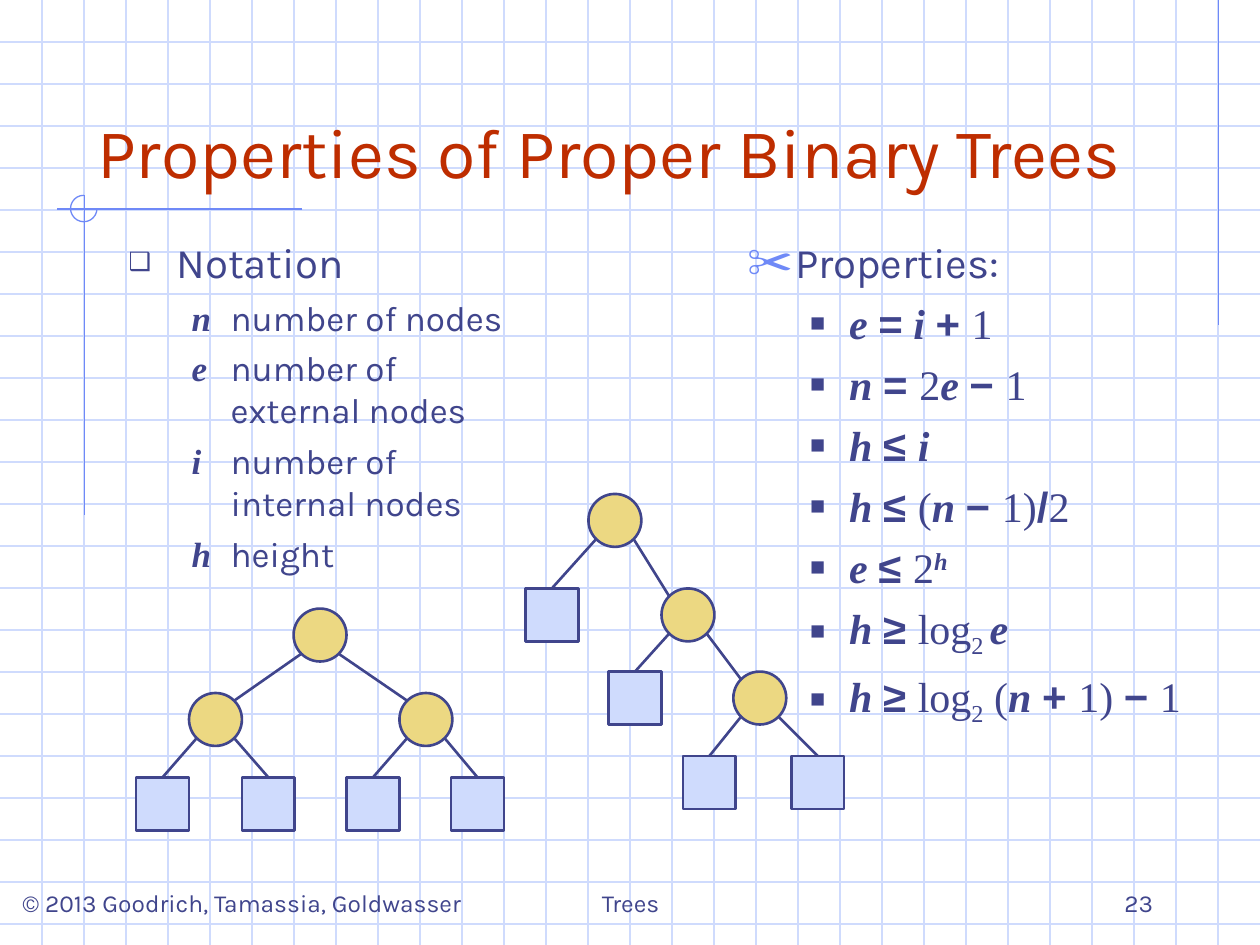
"""Build a slide on the properties of proper binary trees."""
from dataclasses import dataclass
from typing import NamedTuple, Optional

from pptx import Presentation
from pptx.dml.color import RGBColor
from pptx.enum.shapes import MSO_CONNECTOR, MSO_SHAPE
from pptx.enum.text import MSO_ANCHOR, MSO_AUTO_SIZE, PP_ALIGN
from pptx.oxml.ns import qn
from pptx.shapes.autoshape import Shape
from pptx.slide import Slide
from pptx.text.text import TextFrame
from pptx.util import Inches, Pt
from lxml import etree

STRAIGHT = MSO_CONNECTOR.STRAIGHT
CIRCLE, SQUARE, ARC = MSO_SHAPE.OVAL, MSO_SHAPE.RECTANGLE, MSO_SHAPE.ARC
TOP, BOTTOM = MSO_ANCHOR.TOP, MSO_ANCHOR.BOTTOM
LEFT, CENTER, RIGHT = PP_ALIGN.LEFT, PP_ALIGN.CENTER, PP_ALIGN.RIGHT
NO_AUTOFIT = MSO_AUTO_SIZE.NONE


@dataclass(frozen=True)
class Theme:
    ink: str = "40458C"
    title: str = "BE2D00"
    grid: str = "CFDBFD"
    accent: str = "6F89F7"
    internal: str = "ECD882"
    external: str = "CFDBFD"
    sans: str = "Karla"
    serif: str = "Times New Roman"
    symbol: str = "Arial"
    title_size: int = 40
    heading_size: int = 24
    notation_size: int = 20
    footer_size: int = 14
    thin: float = 0.75
    thick: float = 1.5


THEME = Theme()
NODE_SIZE = 0.42
CORNER = 0.15
GRID_STEPS_PER_INCH = 3


class Style(NamedTuple):
    font: str
    bold: bool = False
    italic: bool = False
    baseline: int = 0


PLAIN = Style(THEME.sans)
VARIABLE = Style(THEME.serif, bold=True, italic=True)
OPERATOR = Style(THEME.symbol, bold=True)
NUMBER = Style(THEME.serif)
EXPONENT = VARIABLE._replace(baseline=30000)
SUBSCRIPT = NUMBER._replace(baseline=-25000)


class Bullet(NamedTuple):
    character: str
    color: str
    percent: int


class Box(NamedTuple):
    left: float
    top: float
    width: float
    height: float


@dataclass(frozen=True)
class Line:
    runs: list[tuple[str, Style]]
    size: int
    space_before: int
    margin: float
    hanging: float
    level: int = 0
    bullet: Optional[Bullet] = None


@dataclass(frozen=True)
class Node:
    x: float
    y: float
    children: tuple["Node", ...] = ()


NOTATION = [("n", "number of nodes"), ("e", "number of external nodes"),
            ("i", "number of internal nodes"), ("h", "height")]

PROPERTIES = [
    [("e ", VARIABLE), ("=", OPERATOR), (" i ", VARIABLE), ("+ ", OPERATOR), ("1", NUMBER)],
    [("n ", VARIABLE), ("= ", OPERATOR), ("2", NUMBER), ("e ", VARIABLE), ("− ", OPERATOR),
     ("1", NUMBER)],
    [("h ", VARIABLE), ("≤ ", OPERATOR), ("i", VARIABLE)],
    [("h ", VARIABLE), ("≤ ", OPERATOR), ("(", NUMBER), ("n ", VARIABLE), ("− ", OPERATOR),
     ("1)", NUMBER), ("/", OPERATOR), ("2", NUMBER)],
    [("e ", VARIABLE), ("≤ ", OPERATOR), ("2", NUMBER), ("h", EXPONENT)],
    [("h ", VARIABLE), ("≥ ", OPERATOR), ("log", NUMBER), ("2 ", SUBSCRIPT), ("e", VARIABLE)],
    [("h ", VARIABLE), ("≥ ", OPERATOR), ("log", NUMBER), ("2", SUBSCRIPT), (" (", NUMBER),
     ("n ", VARIABLE), ("+ ", OPERATOR), ("1) ", NUMBER), ("− ", OPERATOR), ("1", NUMBER)],
]

BALANCED_TREE = Node(2.54, 5.04, (
    Node(1.71, 5.71, (Node(1.29, 6.38), Node(2.13, 6.38))),
    Node(3.38, 5.71, (Node(2.96, 6.38), Node(3.79, 6.38)))))
SKEWED_TREE = Node(4.88, 4.13, (
    Node(4.38, 4.88),
    Node(5.46, 4.88, (
        Node(5.04, 5.54),
        Node(6.03, 5.54, (Node(5.63, 6.21), Node(6.49, 6.21)))))))

FOOTERS = [(Box(0.08, 6.83, 3.92, 0.5), "© 2013 Goodrich, Tamassia, Goldwasser", LEFT),
           (Box(3.42, 6.83, 3.17, 0.5), "Trees", CENTER),
           (Box(7.17, 6.83, 2.08, 0.5), "23", RIGHT)]


def add_line(slide: Slide, start: tuple[float, float], end: tuple[float, float],
             color: str, width: float, target: Optional[Shape] = None) -> None:
    """Draw a straight line, joined to the top of the target if there is one."""
    line = slide.shapes.add_connector(STRAIGHT, *map(Inches, start + end))
    if target is not None:
        line.end_connect(target, 0)
    line.line.color.rgb = RGBColor.from_string(color)
    line.line.width = Pt(width)
    etree.SubElement(line.element.spPr, qn("a:effectLst"))


def add_run(paragraph, text: str, style: Style, size: int, color: str) -> None:
    """Append one formatted run."""
    run = paragraph.add_run()
    run.text = text
    font = run.font
    font.name, font.size = style.font, Pt(size)
    font.bold, font.italic = style.bold, style.italic
    font.color.rgb = RGBColor.from_string(color)
    if style.baseline:
        run._r.get_or_add_rPr().set("baseline", str(style.baseline))


def set_bullet(properties, bullet: Optional[Bullet]) -> None:
    """Give paragraph properties a bullet or switch it off."""
    if bullet is None:
        etree.SubElement(properties, qn("a:buNone"))
        return
    color = etree.SubElement(properties, qn("a:buClr"))
    etree.SubElement(color, qn("a:srgbClr"), val=bullet.color)
    etree.SubElement(properties, qn("a:buSzPct"), val=str(bullet.percent * 1000))
    etree.SubElement(properties, qn("a:buChar"), char=bullet.character)


def prepare_frame(shape: Shape, anchor: MSO_ANCHOR) -> TextFrame:
    """Set wrapping and anchoring of a text frame."""
    frame = shape.text_frame
    frame.word_wrap, frame.auto_size, frame.vertical_anchor = True, NO_AUTOFIT, anchor
    return frame


def place(shape: Shape, box: Box) -> None:
    """Move a placeholder to its box, in front of what is drawn so far."""
    shape.left, shape.top, shape.width, shape.height = map(Inches, box)
    shape.element.getparent().append(shape.element)


def fill_list(shape: Shape, box: Box, lines: list[Line]) -> None:
    """Write the lines of a list into a placeholder."""
    place(shape, box)
    frame = prepare_frame(shape, TOP)
    for index, line in enumerate(lines):
        paragraph = frame.add_paragraph() if index else frame.paragraphs[0]
        paragraph.level = line.level
        paragraph.alignment = LEFT
        paragraph.space_before = Pt(line.space_before)
        properties = paragraph._p.get_or_add_pPr()
        properties.set("marL", str(Inches(line.margin)))
        properties.set("indent", str(Inches(-line.hanging)))
        set_bullet(properties, line.bullet)
        for text, style in line.runs:
            add_run(paragraph, text, style, line.size, THEME.ink)


def fill_single(shape: Shape, text: str, size: int, color: str, alignment: PP_ALIGN) -> None:
    """Write one bottom-anchored line of text."""
    paragraph = prepare_frame(shape, BOTTOM).paragraphs[0]
    paragraph.alignment = alignment
    add_run(paragraph, text, PLAIN, size, color)


def add_backdrop(slide: Slide) -> None:
    """Draw the squared paper and the corner ornament."""
    for step in range(1, 23):
        y = step / GRID_STEPS_PER_INCH
        add_line(slide, (0, y), (10, y), THEME.grid, THEME.thin)
    for step in range(1, 30):
        x = step / GRID_STEPS_PER_INCH
        add_line(slide, (x, 0), (x, 7.5), THEME.grid, THEME.thin)
    for start, end in [((9.67, 0), (9.67, 2.58)), ((2.4, 1.66), (0.45, 1.66)),
                       ((0.67, 1.55), (0.67, 4.09))]:
        add_line(slide, start, end, THEME.accent, THEME.thin)
    arc = slide.shapes.add_shape(ARC, *map(Inches, Box(0.56, 1.55, 0.21, 0.21)))
    arc.adjustments[0], arc.adjustments[1] = 0, 162
    arc.shadow.inherit = False
    arc.fill.background()
    arc.line.color.rgb = RGBColor.from_string(THEME.accent)
    arc.line.width = Pt(THEME.thin)


def add_tree(slide: Slide, node: Node) -> Shape:
    """Draw a node, its subtrees and the edges to them."""
    kind, color = (CIRCLE, THEME.internal) if node.children else (SQUARE, THEME.external)
    box = Box(node.x - NODE_SIZE / 2, node.y - NODE_SIZE / 2, NODE_SIZE, NODE_SIZE)
    shape = slide.shapes.add_shape(kind, *map(Inches, box))
    shape.shadow.inherit = False
    shape.fill.solid()
    shape.fill.fore_color.rgb = RGBColor.from_string(color)
    shape.line.color.rgb = RGBColor.from_string(THEME.ink)
    shape.line.width = Pt(THEME.thick)
    for child in node.children:
        child_shape = add_tree(slide, child)
        side = CORNER if child.x > node.x else -CORNER
        add_line(slide, (node.x + side, node.y + CORNER), (child.x - side, child.y - CORNER),
                 THEME.ink, THEME.thick, None if child.children else child_shape)
    return shape


def main() -> None:
    """Build and save the slide."""
    presentation = Presentation()
    presentation.slide_width, presentation.slide_height = Inches(10), Inches(7.5)
    slide = presentation.slides.add_slide(presentation.slide_layouts[3])
    title, notation, properties = slide.placeholders
    add_backdrop(slide)
    place(title, Box(0.67, 0.33, 8.5, 1.25))
    fill_single(title, "Properties of Proper Binary Trees", THEME.title_size, THEME.title, LEFT)
    size = THEME.heading_size
    fill_list(notation, Box(0.92, 1.83, 3.33, 2.83), [
        Line([("Notation", PLAIN)], size, 6, 0.38, 0.38, bullet=Bullet("❑", THEME.ink, 60)),
        *(Line([(f"{symbol}\t", VARIABLE), (meaning, PLAIN)], THEME.notation_size, 5,
               0.81, 0.31, level=1) for symbol, meaning in NOTATION)])
    fill_list(properties, Box(5.83, 1.83, 3.75, 4), [
        Line([("Properties:", PLAIN)], size, 6, 0.38, 0.38,
             bullet=Bullet("✂", THEME.accent, 110)),
        *(Line(runs, size, 6, 0.81, 0.31, level=1, bullet=Bullet("■", THEME.ink, 60))
          for runs in PROPERTIES)])
    for tree in (BALANCED_TREE, SKEWED_TREE):
        add_tree(slide, tree)
    for box, text, alignment in FOOTERS:
        footer = slide.shapes.add_textbox(*map(Inches, box))
        fill_single(footer, text, THEME.footer_size, THEME.ink, alignment)
    presentation.save("out.pptx")


if __name__ == "__main__":
    main()
